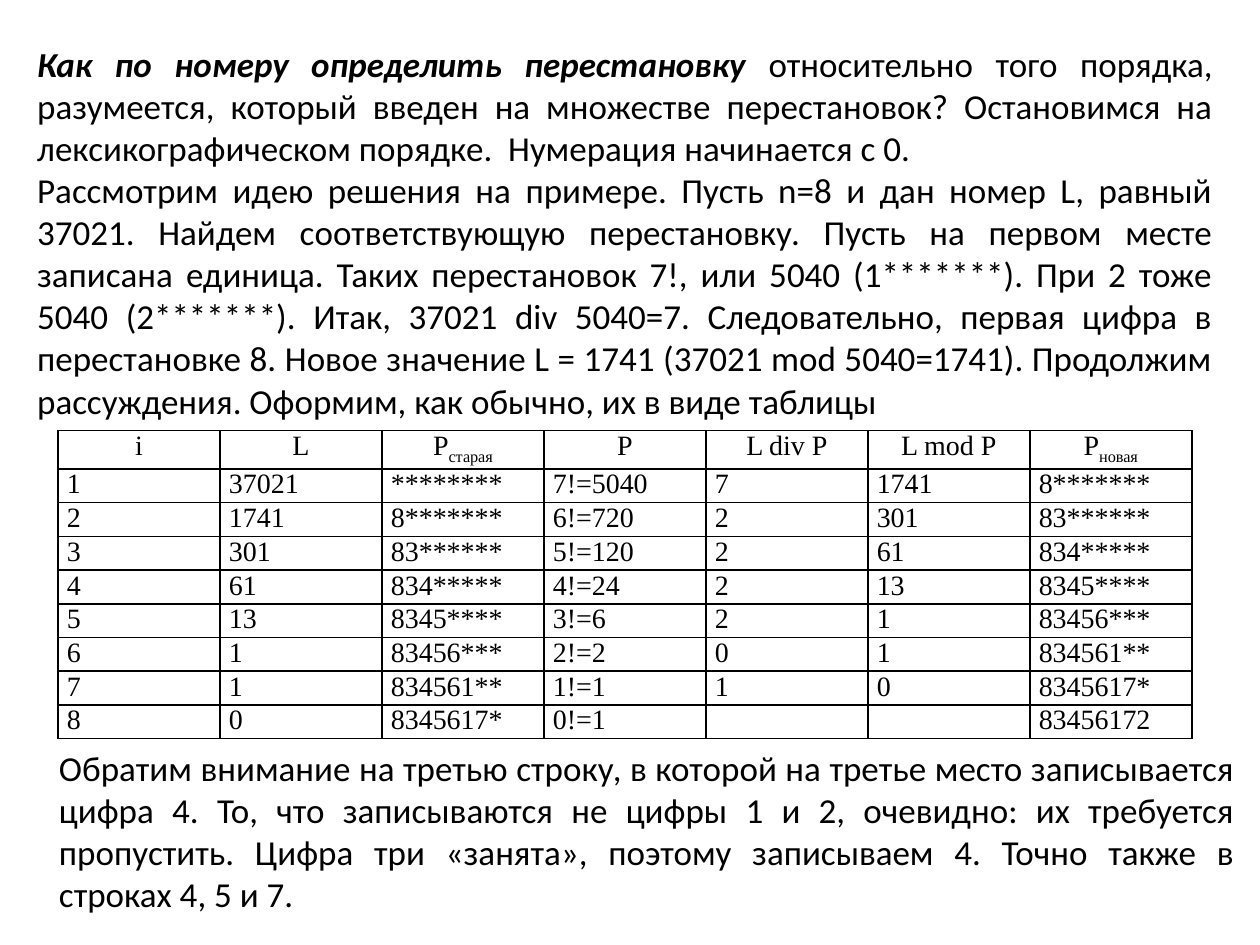
import pptx
import pptx.dml.color
import pptx.enum.text
import pptx.oxml
import pptx.oxml.ns
import pptx.util
from pptx.util import Cm

COLORS = {"text": "000000", "border": "000000"}
ALIGN = pptx.enum.text.PP_ALIGN

INTRODUCTION = [
    [("Как по номеру определить перестановку", True),
     (" относительно того порядка, разумеется, который введен на множестве "
      "перестановок? Остановимся на лексикографическом порядке.  "
      "Нумерация начинается с 0.", False)],
    [("Рассмотрим идею решения на примере. Пусть n=8 и дан номер L, равный 37021. "
      "Найдем соответствующую перестановку. Пусть на первом месте записана единица. "
      "Таких перестановок 7!, или 5040 (1*******). При 2 тоже 5040 (2*******). "
      "Итак, 37021 div 5040=7. Следовательно, первая цифра в перестановке 8. "
      "Новое значение L = 1741 (37021 mod 5040=1741). Продолжим рассуждения. "
      "Оформим, как обычно, их в виде таблицы", False)],
]
CONCLUSION = [
    [("Обратим внимание на третью строку, в которой на третье место записывается "
      "цифра 4. То, что записываются не цифры 1 и 2, очевидно: их требуется "
      "пропустить. Цифра три «занята», поэтому записываем 4. Точно также в "
      "строках 4, 5 и 7.", False)],
]
# Each heading is a base text and a subscript.
HEADINGS = [("i", ""), ("L", ""), ("P", "старая"), ("P", ""),
            ("L div P", ""), ("L mod P", ""), ("P", "новая")]
STEPS = [
    ["1", "37021", "********", "7!=5040", "7", "1741", "8*******"],
    ["2", "1741", "8*******", "6!=720", "2", "301", "83******"],
    ["3", "301", "83******", "5!=120", "2", "61", "834*****"],
    ["4", "61", "834*****", "4!=24", "2", "13", "8345****"],
    ["5", "13", "8345****", "3!=6", "2", "1", "83456***"],
    ["6", "1", "83456***", "2!=2", "0", "1", "834561**"],
    ["7", "1", "834561**", "1!=1", "1", "0", "8345617*"],
    ["8", "0", "8345617*", "0!=1", "", "", "83456172"],
]


def format_paragraph(paragraph, font_name, size, alignment):
    paragraph.alignment = alignment
    paragraph.font.name = font_name
    paragraph.font.size = pptx.util.Pt(size)
    paragraph.font.color.rgb = pptx.dml.color.RGBColor.from_string(COLORS["text"])


def add_text(slide, left, top, width, height, paragraphs):
    """Add justified text; each paragraph is a list of (text, emphasised)."""
    frame = slide.shapes.add_textbox(left, top, width, height).text_frame
    frame.word_wrap = True
    for index, runs in enumerate(paragraphs):
        paragraph = frame.add_paragraph() if index else frame.paragraphs[0]
        format_paragraph(paragraph, "Calibri", 20, ALIGN.JUSTIFY)
        for text, emphasised in runs:
            run = paragraph.add_run()
            run.text = text
            if emphasised:
                run.font.bold = run.font.italic = True


def format_cell(cell):
    """Clear the fill, set the margins and draw a 1 pt border on every side."""
    cell.margin_left = cell.margin_right = Cm(0.18)
    cell.margin_top = cell.margin_bottom = 0
    properties = cell._tc.get_or_add_tcPr()
    for side in ("lnL", "lnR", "lnT", "lnB"):
        properties.append(pptx.oxml.parse_xml(
            f'<a:{side} {pptx.oxml.ns.nsdecls("a")} w="12700"><a:solidFill>'
            f'<a:srgbClr val="{COLORS["border"]}"/></a:solidFill></a:{side}>'))
    cell.fill.background()


def fill_cell(cell, text, subscript="", heading=False):
    format_cell(cell)
    paragraph = cell.text_frame.paragraphs[0]
    format_paragraph(paragraph, "Times New Roman", 16,
                     ALIGN.CENTER if heading else ALIGN.JUSTIFY)
    if heading:
        paragraph._p.get_or_add_pPr().set("indent", str(-Cm(0.5)))
    if text:
        paragraph.add_run().text = text
    else:
        paragraph._p.append(pptx.oxml.parse_xml(
            f'<a:endParaRPr {pptx.oxml.ns.nsdecls("a")} sz="1600"/>'))
    if subscript:
        run = paragraph.add_run()
        run.text = subscript
        run.font._element.set("baseline", "-25000")


def add_steps_table(slide, left, top, width, height):
    heading_height = Cm(0.76)
    table = slide.shapes.add_table(
        len(STEPS) + 1, len(HEADINGS), left, top, width, height).table
    table.first_row = table.horz_banding = False
    for column in table.columns:
        column.width = width // len(HEADINGS)
    for row in table.rows:
        row.height = (height - heading_height) // len(STEPS)
    table.rows[0].height = heading_height
    for column, (text, subscript) in enumerate(HEADINGS):
        fill_cell(table.cell(0, column), text, subscript, heading=True)
    for row, values in enumerate(STEPS, start=1):
        for column, value in enumerate(values):
            fill_cell(table.cell(row, column), value)


def main():
    presentation = pptx.Presentation()
    presentation.slide_width = Cm(25.4)
    presentation.slide_height = Cm(19.05)
    slide = presentation.slides.add_slide(presentation.slide_layouts[6])
    add_text(slide, Cm(0.5), Cm(0.74), Cm(24.2), Cm(7.95), INTRODUCTION)
    add_steps_table(slide, Cm(1.17), Cm(8.68), Cm(22.86), Cm(6.2))
    add_text(slide, Cm(0.94), Cm(14.93), Cm(24.2), Cm(3.68), CONCLUSION)
    presentation.save("out.pptx")


if __name__ == "__main__":
    main()
